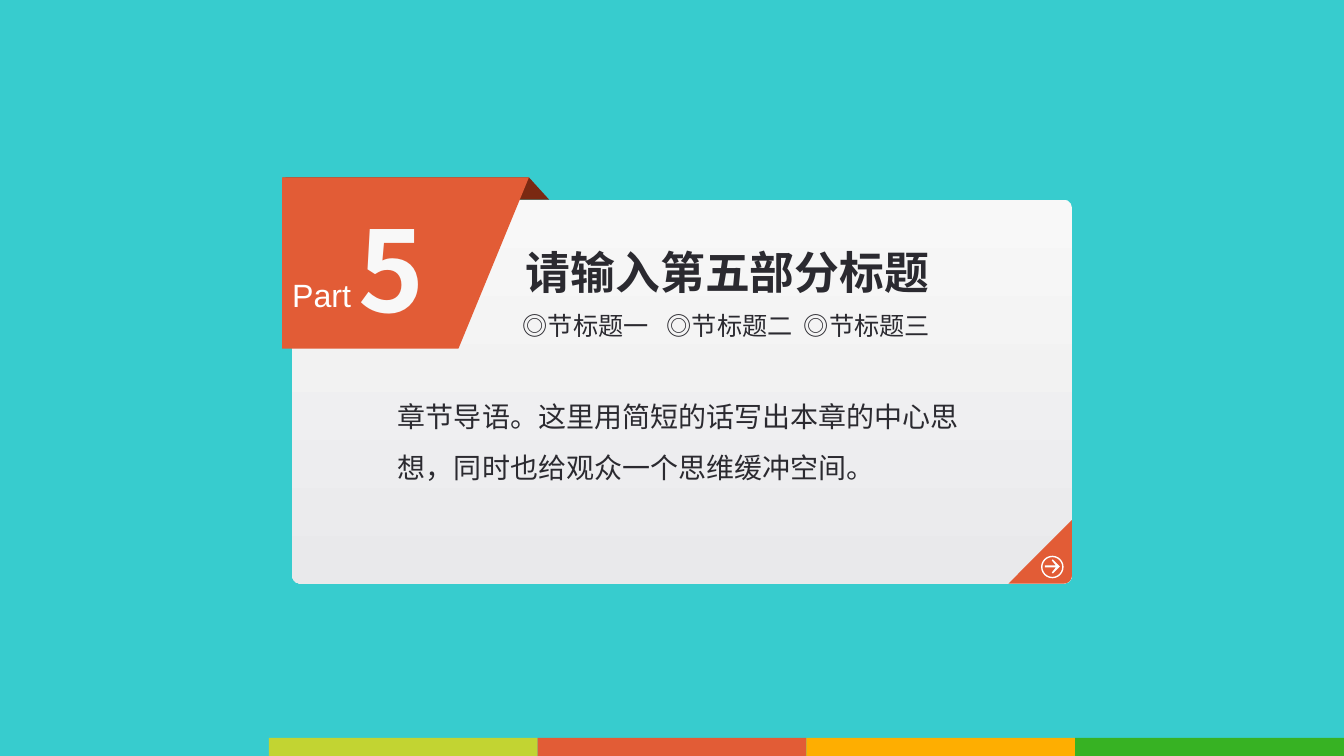
"""Build a chapter divider slide with a title card and a colour strip."""
import math

from lxml import etree
from pptx import Presentation
from pptx import util as u
from pptx.dml import color
from pptx.enum import shapes, text
from pptx.oxml import ns

TEAL, ORANGE, BROWN = "37CCCE", "E25C36", "7A2912"
LIME, AMBER, GREEN = "C2D432", "FEAE01", "37B223"
INK, WHITE, PALE, GREY = "2B2A30", "FFFFFF", "F8F8F8", "E9E9EB"
CJK = "Noto Sans CJK SC"
CORNER = 0.08


def rgb(value):
    """Return the colour for a hex string."""
    return color.RGBColor.from_string(value)


def paint(shape, fill):
    """Give a shape a plain fill without line or shadow."""
    shape.shadow.inherit = False
    shape.fill.solid()
    shape.fill.fore_color.rgb = rgb(fill)
    shape.line.fill.background()
    return shape


def add_preset(slide, kind, box, fill):
    """Add a painted preset shape in the given box."""
    shape = slide.shapes.add_shape(kind, *map(u.Inches, box))
    return paint(shape, fill)


def add_outline(slide, left, top, points, fill):
    """Add a painted polygon whose points are relative to left and top."""
    corners = [(u.Inches(left + x), u.Inches(top + y)) for x, y in points]
    builder = slide.shapes.build_freeform(*corners[0], scale=1.0)
    builder.add_line_segments(corners[1:], close=True)
    return paint(builder.convert_to_shape(), fill)


def set_attributes(target, values):
    """Set every named value on the target."""
    for name, value in values.items():
        setattr(target, name, value)


def add_run(paragraph, wording, size, ink, font=CJK, bold=False):
    """Add a run with its size, colour and fonts."""
    run = paragraph.add_run()
    run.text = wording
    set_attributes(run.font, {"size": u.Pt(size), "bold": bold, "name": font})
    run.font.color.rgb = rgb(ink)
    properties = run.font._element
    etree.SubElement(properties, ns.qn("a:ea")).set("typeface", CJK)


def prepare(shape, box, inset=(0.1, 0.05), wrap=True, spacing=1.0):
    """Place a text shape and return its first paragraph."""
    left, top, width, height = map(u.Inches, box)
    set_attributes(shape, {"left": left, "top": top, "width": width, "height": height})
    side, edge = map(u.Inches, inset)
    set_attributes(shape.text_frame, {
        "word_wrap": wrap, "auto_size": text.MSO_AUTO_SIZE.NONE,
        "vertical_anchor": text.MSO_ANCHOR.TOP,
        "margin_left": side, "margin_right": side,
        "margin_top": edge, "margin_bottom": edge,
    })
    paragraph = shape.text_frame.paragraphs[0]
    set_attributes(paragraph, {
        "alignment": text.PP_ALIGN.LEFT, "line_spacing": spacing, "space_before": u.Pt(0),
    })
    return paragraph


def add_text(slide, box, **layout):
    """Add a text box and return its first paragraph."""
    return prepare(slide.shapes.add_textbox(*map(u.Inches, box)), box, **layout)


def add_card(slide, left, top, width, height):
    """Draw the rounded card with its pale vertical gradient."""
    kind = shapes.MSO_SHAPE.ROUNDED_RECTANGLE
    card = add_preset(slide, kind, (left, top, width, height), PALE)
    card.adjustments[0] = CORNER / height
    card.fill.gradient()
    card.fill.gradient_angle = 270
    for stop, shade in zip(card.fill.gradient_stops, (PALE, GREY)):
        stop.color.rgb = rgb(shade)


def add_ribbon(slide, left, top, width, height):
    """Draw the part ribbon, its fold and the part number."""
    fold = [(width - 0.2, 0.22), (width + 0.2, 0.22), (width, 0), (0, 0)]
    add_outline(slide, left, top, fold, BROWN)
    front = [(0, 0), (width, 0), (width - 0.7, height), (0, height)]
    add_outline(slide, left, top, front, ORANGE)
    number = add_text(slide, (left + 0.66, top + 0.18, 0.76, 1.45))
    add_run(number, "5", 80, PALE, bold=True)
    label_box = (left + 0.1, top + 0.97, 0.73, 0.45)
    label = add_text(slide, label_box, inset=(0, 0), wrap=False)
    add_run(label, "Part", 23, WHITE, "Arial")


def add_next_corner(slide, left, top, size):
    """Draw the folded corner with a ringed arrow."""
    centre = size - CORNER
    angles = [math.radians(step * 15) for step in range(7)]
    arc = [(centre + CORNER * math.cos(a), centre + CORNER * math.sin(a)) for a in angles]
    add_outline(slide, left, top, [(size, 0), *arc, (0, size)], ORANGE)
    ring_box = (left + 0.33, top + 0.36, 0.21, 0.21)
    ring = add_preset(slide, shapes.MSO_SHAPE.OVAL, ring_box, ORANGE)
    ring.fill.background()
    ring.line.color.rgb = rgb(WHITE)
    ring.line.width = u.Pt(1)
    upper = [(0, -0.01), (0.11, -0.01), (0.07, -0.06), (0.08, -0.07)]
    lower = [(x, -y) for x, y in reversed(upper)]
    arrow = [*upper, (0.15, 0), *lower]
    add_outline(slide, left + 0.36, top + 0.46, arrow, WHITE)


def add_sections(slide, left, top, width, height):
    """List the section titles on one line with tab stops."""
    paragraph = add_text(slide, (left, top, width, height))
    tabs = etree.SubElement(paragraph._p.get_or_add_pPr(), ns.qn("a:tabLst"))
    for position in (1.43, 2.79):
        tab = etree.SubElement(tabs, ns.qn("a:tab"))
        tab.set("pos", str(u.Inches(position)))
        tab.set("algn", "l")
    for index, numeral in enumerate("一二三"):
        add_run(paragraph, "\t◎节" if index else "◎节", 18, INK, "Arial")
        add_run(paragraph, f"标题{numeral}", 18, INK)


def add_wording(slide, left, top):
    """Fill the title, section list and introduction of the card."""
    title, body = slide.placeholders
    heading = prepare(title, (left + 2.22, top + 0.4, 4.42, 0.64))
    add_run(heading, "请输入第五部分标题", 32, INK, bold=True)
    add_sections(slide, left + 2.19, top + 1.05, 4.68, 0.4)
    introduction = prepare(body, (left + 0.95, top + 1.77, 5.82, 1.11), spacing=1.5)
    wording = "章节导语。这里用简短的话写出本章的中心思想，同时也给观众一个思维缓冲空间。"
    add_run(introduction, wording, 20, INK)


def add_strip(slide, left, top, width, height):
    """Draw the row of equal colour bars."""
    fills = (TEAL, LIME, ORANGE, AMBER, GREEN)
    step = width / len(fills)
    for index, fill in enumerate(fills):
        box = (left + index * step, top, step, height)
        add_preset(slide, shapes.MSO_SHAPE.RECTANGLE, box, fill)


def raise_placeholders(slide):
    """Bring the title and body in front of the drawn shapes."""
    for placeholder in list(slide.placeholders):
        slide.shapes._spTree.append(placeholder._element)


def main():
    """Build and save the presentation."""
    presentation = Presentation()
    presentation.slide_width = u.Inches(13.34)
    presentation.slide_height = u.Inches(7.5)
    slide = presentation.slides.add_slide(presentation.slide_layouts[2])
    slide.background.fill.solid()
    slide.background.fill.fore_color.rgb = rgb(TEAL)
    add_card(slide, 2.9, 1.98, 7.74, 3.81)
    add_ribbon(slide, 2.8, 1.76, 2.45, 1.7)
    add_next_corner(slide, 10.01, 5.16, 0.63)
    add_wording(slide, 2.9, 1.98)
    add_strip(slide, 0, 7.32, 13.34, 0.18)
    raise_placeholders(slide)
    presentation.save("out.pptx")


if __name__ == "__main__":
    main()
